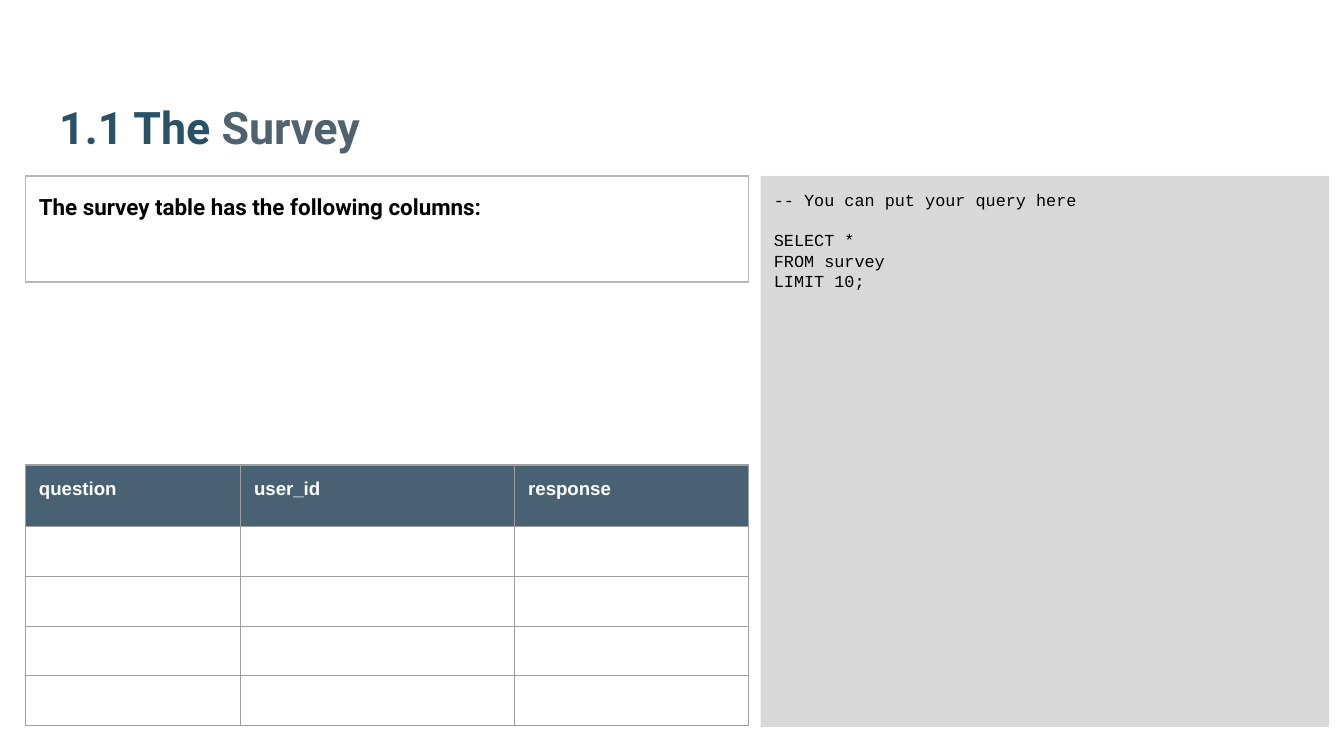
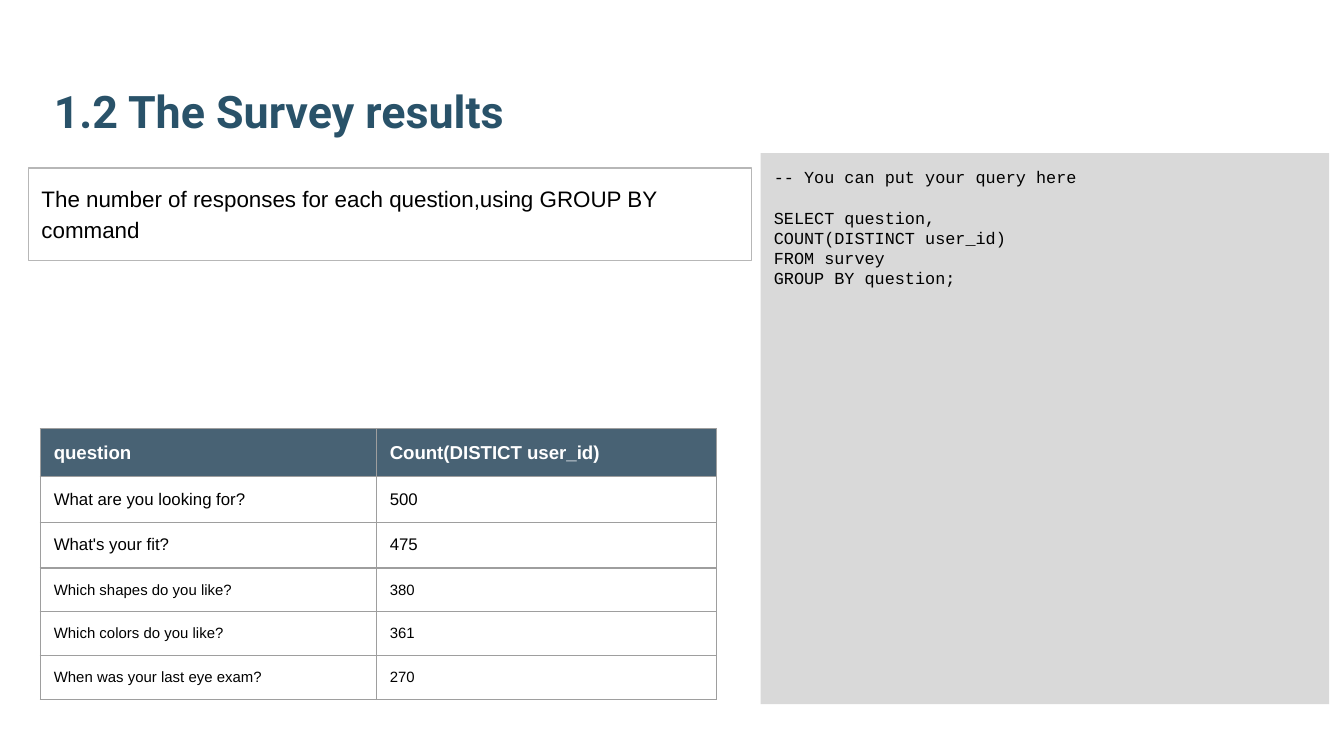
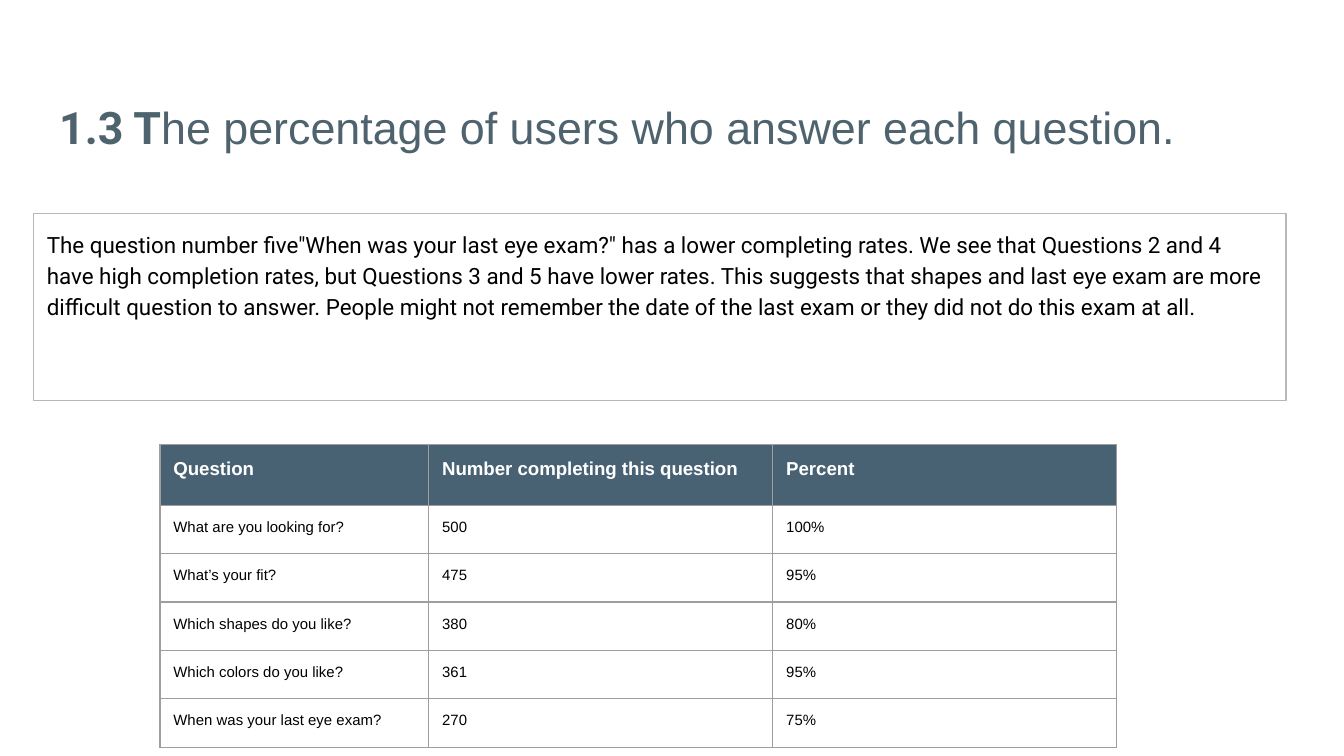
import pptx
import pptx.dml.color
import pptx.enum.shapes
import pptx.enum.text
import pptx.oxml
import pptx.oxml.ns
import pptx.util
from pptx.util import Inches

COLORS = {
    "title": "295269",
    "title_soft": "4E636E",
    "header": "204056",
    "code_fill": "D9D9D9",
    "box_line": "B7B7B7",
    "grid": "9E9E9E",
    "text": "000000",
    "white": "FFFFFF",
}
HEADER_ALPHA = 82
INSET = 0.1
LINE_WIDTH = 0.75
TITLE_SIZE = (9.32, 0.92)
CODE_SIZE = (4.23, 4.1)
CODE_INTRO = "-- You can put your query here"


def rgb(name):
    return pptx.dml.color.RGBColor.from_string(COLORS[name])


def add_span(para, text, size, font, color="text", bold=False):
    span = para.add_run()
    span.text = text
    span.font.size = pptx.util.Pt(size)
    span.font.name = font
    span.font.bold = bold
    span.font.color.rgb = rgb(color)


def set_insets(target):
    target.margin_left = target.margin_right = Inches(INSET)
    target.margin_top = target.margin_bottom = Inches(INSET)


def prepare_frame(frame, anchor):
    set_insets(frame)
    frame.word_wrap = True
    frame.auto_size = pptx.enum.text.MSO_AUTO_SIZE.NONE
    frame.vertical_anchor = anchor
    frame.paragraphs[0].alignment = pptx.enum.text.PP_ALIGN.LEFT


def add_titled_page(deck, position, spans):
    page = deck.slides.add_slide(deck.slide_layouts[5])
    title = page.shapes.title
    title.left, title.top, title.width, title.height = map(Inches, position + TITLE_SIZE)
    prepare_frame(title.text_frame, pptx.enum.text.MSO_ANCHOR.BOTTOM)
    for text, font, color, bold in spans:
        add_span(title.text_frame.paragraphs[0], text, 24, font, color, bold)
    return page


def add_panel(page, box):
    panel = page.shapes.add_shape(
        pptx.enum.shapes.MSO_SHAPE.RECTANGLE, *map(Inches, box))
    panel.shadow.inherit = False
    prepare_frame(panel.text_frame, pptx.enum.text.MSO_ANCHOR.TOP)
    return panel


def add_query_panel(page, position, query):
    panel = add_panel(page, position + CODE_SIZE)
    panel.fill.solid()
    panel.fill.fore_color.rgb = rgb("code_fill")
    panel.line.fill.background()
    frame = panel.text_frame
    add_span(frame.paragraphs[0], CODE_INTRO, 9, "Courier New")
    for index, line in enumerate(query):
        para = frame.add_paragraph()
        para.alignment = pptx.enum.text.PP_ALIGN.LEFT
        if index == 0:
            para.space_before = pptx.util.Pt(11)
        add_span(para, line, 9, "Courier New")


def add_note(page, box, text, font, bold=False):
    note = add_panel(page, box)
    note.fill.background()
    note.line.color.rgb = rgb("box_line")
    note.line.width = pptx.util.Pt(LINE_WIDTH)
    para = note.text_frame.paragraphs[0]
    para.line_spacing = 1.15
    add_span(para, text, 12, font, bold=bold)


def add_borders(cell):
    properties = cell._tc.get_or_add_tcPr()
    for side in ("lnL", "lnR", "lnT", "lnB"):
        properties.append(pptx.oxml.parse_xml(
            f'<a:{side} {pptx.oxml.ns.nsdecls("a")} w="{pptx.util.Pt(LINE_WIDTH)}">'
            f'<a:solidFill><a:srgbClr val="{COLORS["grid"]}"/></a:solidFill></a:{side}>'))


def fill_header(cell):
    cell.fill.solid()
    cell.fill.fore_color.rgb = rgb("header")
    shade = cell._tc.tcPr.find(pptx.oxml.ns.qn("a:solidFill"))[0]
    shade.append(pptx.oxml.parse_xml(
        f'<a:alpha {pptx.oxml.ns.nsdecls("a")} val="{HEADER_ALPHA * 1000}"/>'))


def add_result_table(page, position, columns, heights, rows, sizes):
    frame = page.shapes.add_table(
        len(rows), len(columns),
        *map(Inches, position + (sum(columns), sum(heights))))
    table = frame.table
    table.first_row = table.horz_banding = False
    for column, width in zip(table.columns, columns):
        column.width = Inches(width)
    for row_index, values in enumerate(rows):
        is_header = row_index == 0
        table.rows[row_index].height = Inches(heights[row_index])
        for column_index, value in enumerate(values):
            cell = table.cell(row_index, column_index)
            set_insets(cell)
            add_borders(cell)
            if is_header:
                fill_header(cell)
            else:
                cell.fill.background()
            para = cell.text_frame.paragraphs[0]
            if value:
                add_span(para, value, sizes[row_index], "Arial",
                         "white" if is_header else "text", is_header)
            else:
                para._p.get_or_add_endParaRPr().set("sz", str(sizes[row_index] * 100))


def build_survey(deck):
    page = add_titled_page(deck, (0.34, 0.32), [
        ("1.1 The ", "Roboto", "title", True),
        ("Survey", "Roboto", "title_soft", True),
    ])
    add_query_panel(page, (5.66, 1.31), ["SELECT *", "FROM survey", "LIMIT 10;"])
    add_note(page, (0.19, 1.31, 5.38, 0.79),
             "The survey table has the following columns:", "Roboto", True)
    rows = [("question", "user_id", "response")] + [("", "", "")] * 4
    add_result_table(page, (0.19, 3.46), (1.6, 2.04, 1.74),
                     [0.46] + [0.37] * 4, rows, [10] + [9] * 4)


def build_results(deck):
    page = add_titled_page(deck, (0.3, 0.2), [
        ("1.2 The Survey results", "Roboto", "title", True),
    ])
    add_query_panel(page, (5.66, 1.14), [
        "SELECT question,", "COUNT(DISTINCT user_id)", "FROM survey", "GROUP BY question;"])
    add_note(page, (0.21, 1.25, 5.38, 0.69),
             "The number of responses for each question,using GROUP BY command", "Arial")
    rows = [
        ("question", "Count(DISTICT user_id)"),
        ("What are you looking for?", "500"),
        ("What's your fit?", "475"),
        ("Which shapes do you like?", "380"),
        ("Which colors do you like?", "361"),
        ("When was your last eye exam?", "270"),
    ]
    add_result_table(page, (0.3, 3.19), (2.5, 2.53),
                     [0.34] * 3 + [0.32] * 3, rows, [10, 9, 9, 8, 8, 8])


def build_percentages(deck):
    page = add_titled_page(deck, (0.34, 0.32), [
        ("1.3 T", "Roboto", "title_soft", True),
        ("he percentage of users who answer each question.", "Arial", "title_soft", False),
    ])
    add_note(page, (0.25, 1.59, 9.32, 1.39),
             'The question number five"When was your last eye exam?" has a lower '
             "completing rates. We see that Questions 2 and 4 have high completion "
             "rates, but Questions 3 and 5 have lower rates. This suggests that shapes "
             "and last eye exam are more difficult question to answer. People might not "
             "remember the date of the last exam or they did not do this exam at all.",
             "Roboto")
    rows = [
        ("Question", "Number completing this question", "Percent"),
        ("What are you looking for?", "500", "100%"),
        ("What’s your fit?", "475", "95%"),
        ("Which shapes do you like?", "380", "80%"),
        ("Which colors do you like?", "361", "95%"),
        ("When was your last eye exam?", "270", "75%"),
    ]
    add_result_table(page, (1.19, 3.31), (2, 2.56, 2.56),
                     [0.45] + [0.36] * 5, rows, [10] + [8] * 5)


def main():
    deck = pptx.Presentation()
    deck.slide_width = Inches(10)
    deck.slide_height = deck.slide_width * 9 // 16
    build_survey(deck)
    build_results(deck)
    build_percentages(deck)
    deck.save("out.pptx")


if __name__ == "__main__":
    main()
